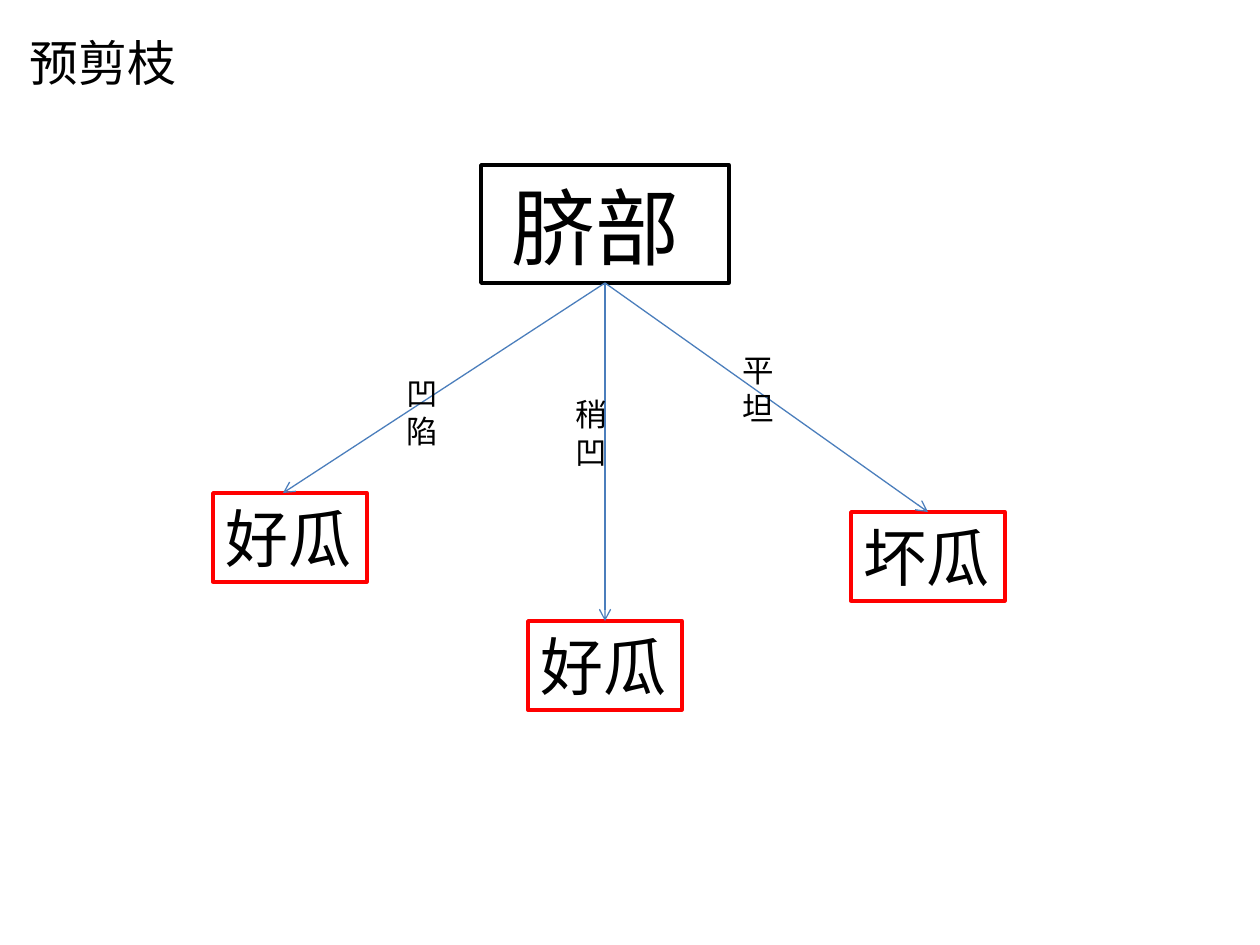
from pptx import Presentation
from pptx import util as u
from pptx.dml.color import RGBColor
from pptx.enum import shapes, text
from pptx.oxml.ns import qn
from lxml import etree

PX = u.Inches(1) / 126
COLORS = {"black": "000000", "red": "FF0000", "blue": "4B7EBC"}
LEAF_SIZE = (154, 89)
LABEL_SIZE = (84, 89)


def px(*values):
    return [round(value * PX) for value in values]


def rgb(name):
    return RGBColor.from_string(COLORS[name])


def format_run(run, size, font="Calibri"):
    run.font.size = u.Pt(size)
    run.font.name = font
    run.font.color.rgb = rgb("black")


def add_text(slide, box, content, size):
    text_box = slide.shapes.add_textbox(*px(*box))
    frame = text_box.text_frame
    frame.word_wrap = True
    frame.text = content
    format_run(frame.paragraphs[0].runs[0], size)
    return frame


def add_title(slide, box, content):
    frame = add_text(slide, box, content, 27.9)
    frame.word_wrap = False
    frame.margin_left = frame.margin_right = 0
    frame.margin_top = frame.margin_bottom = 0
    paragraph = frame.paragraphs[0]
    paragraph.line_spacing = u.Pt(26.9)
    run = paragraph.runs[0]
    format_run(run, 27.9, "Noto Sans CJK SC")
    east_asian = etree.SubElement(run.font._element, qn("a:ea"))
    east_asian.set("typeface", "Noto Sans CJK SC")


def add_node(slide, box, color, content=""):
    shape = slide.shapes.add_shape(shapes.MSO_SHAPE.RECTANGLE, *px(*box))
    shape.shadow.inherit = False
    shape.fill.background()
    shape.line.color.rgb = rgb(color)
    shape.line.width = u.Pt(2)
    if content:
        frame = shape.text_frame
        frame.text = content
        frame.vertical_anchor = text.MSO_ANCHOR.TOP
        paragraph = frame.paragraphs[0]
        paragraph.alignment = text.PP_ALIGN.LEFT
        format_run(paragraph.runs[0], 36)
    return shape


def add_branch(slide, parent, child, end=None):
    """Arrow from the parent's bottom to the child's top, or to a given point."""
    end_x, end_y = px(*end) if end else (0, 0)
    connector = slide.shapes.add_connector(
        shapes.MSO_CONNECTOR.STRAIGHT, 0, 0, end_x, end_y)
    connector.begin_connect(parent, 2)
    if not end:
        connector.end_connect(child, 0)
    connector.line.color.rgb = rgb("blue")
    connector.line.width = u.Pt(0.75)
    etree.SubElement(connector.line._get_or_add_ln(), qn("a:tailEnd"), type="arrow")
    etree.SubElement(connector._element.spPr, qn("a:effectLst"))


def main():
    presentation = Presentation()
    presentation.slide_width, presentation.slide_height = px(1260, 945)
    slide = presentation.slides.add_slide(presentation.slide_layouts[6])

    add_title(slide, (30, 44, 149, 48), "预剪枝")

    # Root attribute, with a smaller full-width space after the name
    root = add_node(slide, (481, 165, 248, 118), "black")
    frame = add_text(slide, (499, 169, 273, 115), "脐部", 48)
    space = frame.paragraphs[0].add_run()
    space.text = "\u3000"
    format_run(space, 18)

    # Leaves: position, class, branch end where it is off centre, branch label
    branches = [
        ((213, 493), "好瓜", (283, 493), "凹陷", (394, 368)),
        ((528, 621), "好瓜", None, "稍凹", (563, 389)),
        ((851, 512), "坏瓜", None, "平坦", (730, 345)),
    ]
    for position, result, end, label, label_position in branches:
        leaf = add_node(slide, position + LEAF_SIZE, "red", result)
        add_branch(slide, root, leaf, end)
        add_text(slide, label_position + LABEL_SIZE, label, 18)

    presentation.save("out.pptx")


if __name__ == "__main__":
    main()
